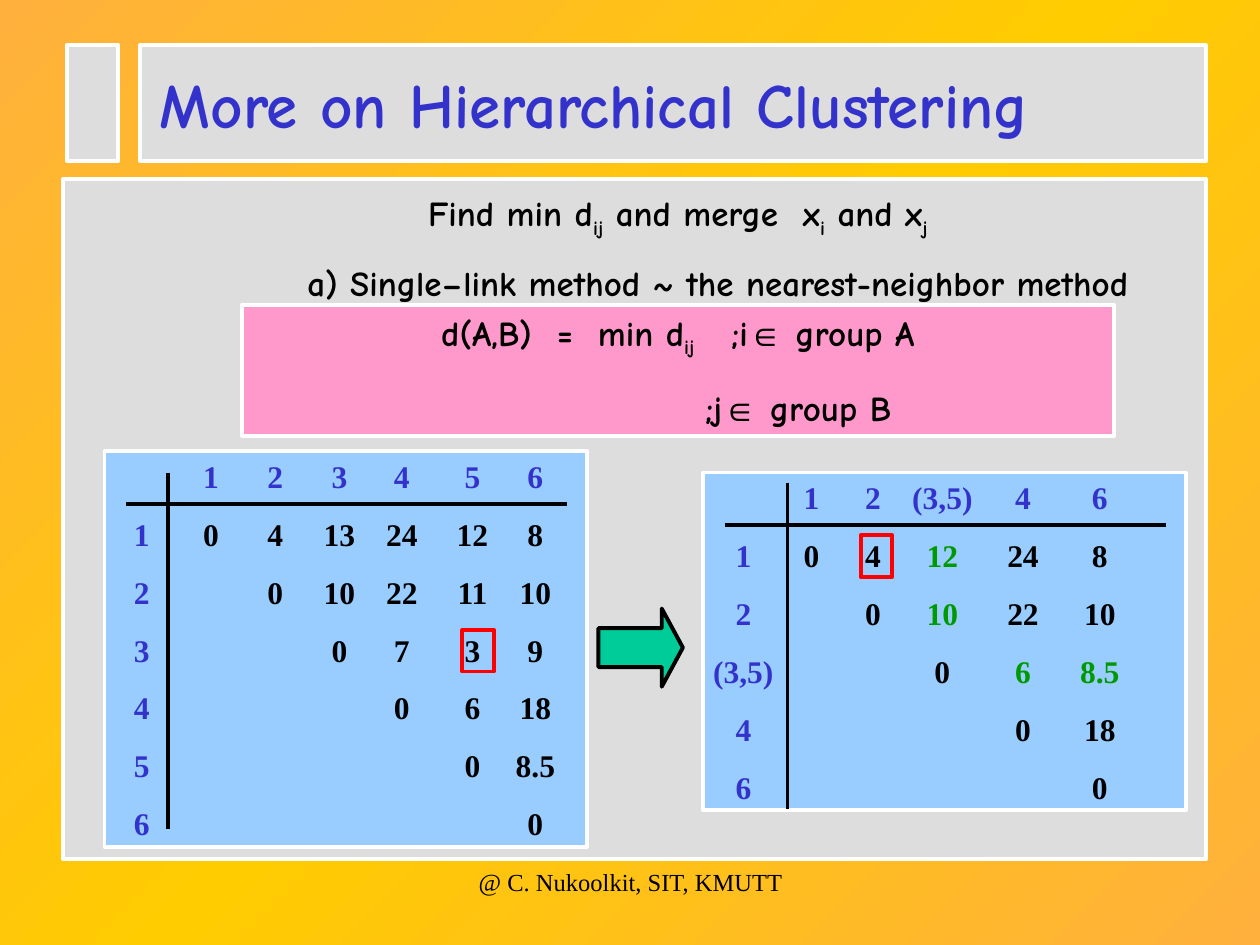
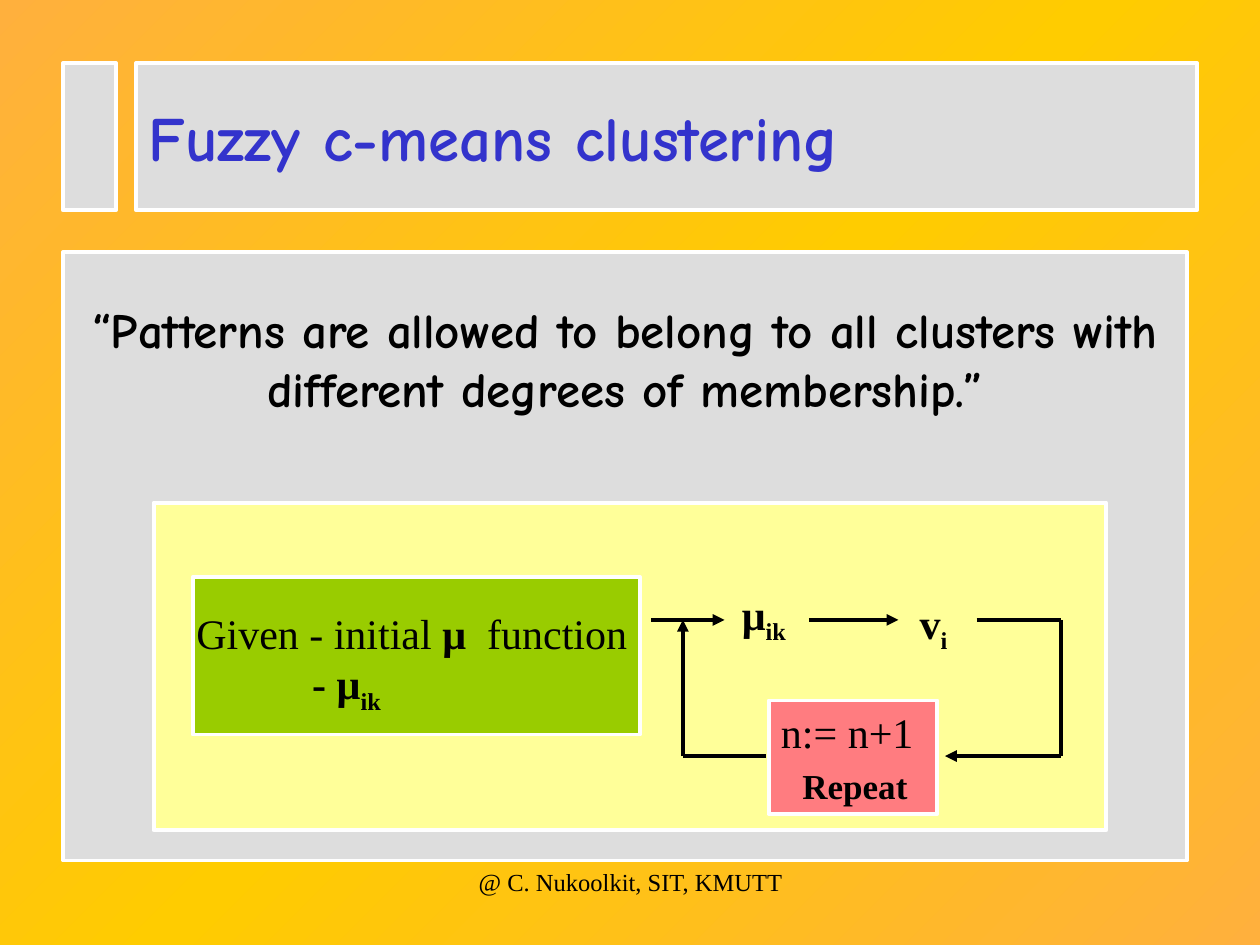
from lxml import etree
from pptx import Presentation
from pptx.dml.color import RGBColor
from pptx.enum.dml import MSO_LINE
from pptx.enum.shapes import MSO_CONNECTOR, MSO_SHAPE
from pptx.enum.text import MSO_ANCHOR, MSO_AUTO_SIZE, PP_ALIGN
from pptx.oxml.ns import qn
from pptx.util import Inches, Pt

RECTANGLE, ARROW = MSO_SHAPE.RECTANGLE, MSO_SHAPE.RIGHT_ARROW
STRAIGHT, SOLID = MSO_CONNECTOR.STRAIGHT, MSO_LINE.SOLID
LEFT, CENTER = PP_ALIGN.LEFT, PP_ALIGN.CENTER
TOP, MIDDLE = MSO_ANCHOR.TOP, MSO_ANCHOR.MIDDLE
NO_AUTOFIT = MSO_AUTO_SIZE.NONE

COLORS = {
    "edge": "FFB03D", "glow": "FFCC00", "panel": "DDDDDD", "white": "FFFFFF",
    "black": "000000", "heading": "3333CC", "formula": "FF99CC",
    "matrix": "99CCFF", "updated": "009900", "minimum": "FF0000",
    "arrow": "00CC99", "loop": "FFFF99", "given": "99CC00", "repeat": "FF7C80",
}
COMIC, SERIF, SYMBOL = "Comic Neue", "Times New Roman", "Arial"
PLAIN_TABLE = "{2D5ABB26-0587-4C30-8999-92F81FD0307C}"
LINE_WIDTH = Pt(2.25)
ROW_HEIGHT = 0.46
SUBSCRIPT = {"subscript": True}
IN_SYMBOL = ("∈", {"font": SYMBOL})
GAP = (" ", {"spacing": 7})
WIDE_GAP = (" ", {"spacing": 14})


def color(name):
    return RGBColor.from_string(COLORS[name])


def add_span(para, text, font=SERIF, size=24, bold=True, fill="black",
             subscript=False, spacing=0):
    span = para.add_run()
    span.text = text
    span.font.name = font
    span.font.size = Pt(size)
    span.font.bold = bold
    span.font.color.rgb = color(fill)
    properties = span._r.get_or_add_rPr()
    if subscript:
        properties.set("baseline", "-25000")
    if spacing:
        properties.set("spc", str(spacing * 100))


def format_para(para, align=LEFT, before=0, indent=0):
    properties = para._p.get_or_add_pPr()
    properties.set("marL", str(Inches(indent)))
    properties.set("indent", "0")
    etree.SubElement(properties, qn("a:buNone"))
    para.alignment = align
    para.space_before = Pt(before)


def write(frame, paragraphs, anchor=TOP, inset=0.1, **span_format):
    frame.word_wrap = True
    frame.auto_size = NO_AUTOFIT
    frame.vertical_anchor = anchor
    frame.margin_left, frame.margin_right = Inches(inset), Inches(0.1)
    frame.margin_top = frame.margin_bottom = Inches(0.05)
    for index, (spans, para_format) in enumerate(paragraphs):
        para = frame.add_paragraph() if index else frame.paragraphs[0]
        format_para(para, **para_format)
        for text, changes in spans:
            add_span(para, text, **{**span_format, **changes})


def place(shape, box):
    shape.left, shape.top, shape.width, shape.height = map(Inches, box)


def paint(shape, fill=None, line="white"):
    if fill:
        shape.fill.solid()
        shape.fill.fore_color.rgb = color(fill)
    else:
        shape.fill.background()
    shape.line.color.rgb = color(line)
    shape.line.width = LINE_WIDTH


def add_block(page, box, fill=None, line="white", kind=RECTANGLE):
    block = page.shapes.add_shape(kind, *map(Inches, box))
    block.shadow.inherit = False
    paint(block, fill, line)
    return block


def add_text(page, box, paragraphs, **span_format):
    text_box = page.shapes.add_textbox(*map(Inches, box))
    write(text_box.text_frame, paragraphs, **span_format)


def add_line(page, start, end, arrow=False):
    line = page.shapes.add_connector(STRAIGHT, *map(Inches, start + end))
    line.line.color.rgb = color("black")
    line.line.width = LINE_WIDTH
    line.line.dash_style = SOLID
    properties = line._element.spPr
    if arrow:
        etree.SubElement(properties.find(qn("a:ln")), qn("a:tailEnd"), type="triangle")
    etree.SubElement(properties, qn("a:effectLst"))


def set_background(deck):
    master = deck.slide_master
    fill = master.background.fill
    fill.gradient()
    fill.gradient_angle = 135
    stops = master.element.find(".//" + qn("a:gsLst"))
    for stop in list(stops):
        stops.remove(stop)
    for position, name in ((0, "edge"), (50000, "glow"), (100000, "edge")):
        stop = etree.SubElement(stops, qn("a:gs"), pos=str(position))
        etree.SubElement(stop, qn("a:srgbClr"), val=COLORS[name])


def add_page(deck, title, title_box, marker_box, panel_box, title_inset=0.1):
    page = deck.slides.add_slide(deck.slide_layouts[1])
    add_block(page, panel_box, "panel")
    add_block(page, marker_box, "panel")
    heading = page.shapes.title
    place(heading, title_box)
    paint(heading, "panel")
    write(heading.text_frame, [([(title, {})], {})], anchor=MIDDLE,
          inset=title_inset, font=COMIC, size=36, fill="heading")
    add_text(page, (3.42, 6.83, 3.17, 0.5),
             [([("@ C. Nukoolkit, SIT, KMUTT", {})], {"align": CENTER})],
             size=14, bold=False)
    return page


def fill_body(page, box, paragraphs, **span_format):
    body = page.placeholders[1]
    place(body, box)
    write(body.text_frame, paragraphs, **span_format)
    tree = body.element.getparent()
    tree.append(body.element)


def add_formula(page, box):
    block = add_block(page, box, "formula")
    group_a = [("d(A,B)", {}), GAP, ("=", {}), GAP, ("min d", {}), ("ij", SUBSCRIPT),
               WIDE_GAP, (";i", {}), IN_SYMBOL, (" group A", {})]
    group_b = [(";j", {}), IN_SYMBOL, (" group B", {})]
    write(block.text_frame,
          [(group_a, {"align": CENTER}), (group_b, {"indent": 3.58, "before": 16})],
          font=COMIC, size=20)


def add_matrix(page, box, labels, rows, widths, axis, minimum, merged=None):
    left, top, width, height = box
    add_block(page, box, "matrix")
    count = len(labels) + 1
    frame = page.shapes.add_table(count, count, Inches(left), Inches(top - 0.02),
                                  Inches(sum(widths)), Inches(ROW_HEIGHT * count))
    table = frame.table
    table.first_row = table.horz_banding = False
    table._tbl.tblPr.find(qn("a:tableStyleId")).text = PLAIN_TABLE
    for column, column_width in zip(table.columns, widths):
        column.width = Inches(column_width)
    for row in table.rows:
        row.height = Inches(ROW_HEIGHT)

    grid = [[""] + labels]
    for index, (label, values) in enumerate(zip(labels, rows)):
        grid.append([label] + [""] * index + values)
    for row, texts in enumerate(grid):
        for column, text in enumerate(texts):
            cell = table.cell(row, column)
            cell.fill.background()
            cell.vertical_anchor = MIDDLE
            cell.margin_left = cell.margin_right = 0
            cell.margin_top = cell.margin_bottom = 0
            para = cell.text_frame.paragraphs[0]
            para.alignment = CENTER
            para.font.size = Pt(18)
            if not text:
                continue
            fill = "black"
            if row == 0 or column == 0:
                fill = "heading"
            elif row != column and merged in (grid[row][0], grid[0][column]):
                fill = "updated"
            add_span(para, text, size=18, fill=fill)

    axis_x, axis_start, axis_end = axis
    add_line(page, (left + axis_x, top + axis_start), (left + axis_x, top + axis_end))
    add_line(page, (left + 0.17, top + 0.42), (left + 3.67, top + 0.42))
    add_block(page, (left + minimum[0], top + minimum[1], 0.25, 0.33), line="minimum")


def build_hierarchical(deck):
    page = add_page(deck, "More on Hierarchical Clustering",
                    (1.11, 0.36, 8.46, 0.92), (0.53, 0.36, 0.41, 0.92),
                    (0.5, 1.42, 9.07, 5.4), title_inset=0.16)
    add_formula(page, (1.92, 2.42, 6.92, 1.04))
    merge = [("Find min d", {}), ("ij", SUBSCRIPT), (" and merge", {}), GAP, ("x", {}),
             ("i", SUBSCRIPT), (" and x", {}), ("j", SUBSCRIPT)]
    method = [("a) Single–link method ~ the nearest-neighbor method", {})]
    fill_body(page, (0.75, 1.47, 8.92, 1.04),
              [(merge, {"align": CENTER, "indent": 0.34}),
               (method, {"align": CENTER, "indent": 0.98, "before": 12.5})],
              font=COMIC, size=20)
    add_matrix(page, (0.83, 3.58, 3.83, 3.14),
               ["1", "2", "3", "4", "5", "6"],
               [["0", "4", "13", "24", "12", "8"], ["0", "10", "22", "11", "10"],
                ["0", "7", "3", "9"], ["0", "6", "18"], ["0", "8.5"], ["0"]],
               widths=[0.59, 0.51, 0.51, 0.51, 0.48, 0.64, 0.36],
               axis=(0.5, 0.17, 3), minimum=(2.84, 1.42))
    add_matrix(page, (5.58, 3.75, 3.83, 2.68),
               ["1", "2", "(3,5)", "4", "6"],
               [["0", "4", "12", "24", "8"], ["0", "10", "22", "10"],
                ["0", "6", "8.5"], ["0", "18"], ["0"]],
               widths=[0.64, 0.44, 0.54, 0.56, 0.72, 0.5],
               axis=(0.67, 0.08, 2.67), minimum=(1.25, 0.5), merged="(3,5)")
    arrow = add_block(page, (4.75, 4.83, 0.67, 0.62), "arrow", "black", ARROW)
    arrow.adjustments[0], arrow.adjustments[1] = 0.5, 0.27


def add_loop(page, box):
    left, top = box[:2]

    def at(x, y, *size):
        return (left + x, top + y, *size)

    add_block(page, box, "loop")
    add_block(page, at(0.31, 0.59, 3.55, 1.25), "given")
    given = [("Given - initial ", {}), ("μ", {"bold": True}),
             (" ", {"spacing": 6}), ("function", {})]
    start = [("- μ", {"bold": True}), ("ik", {"bold": True, **SUBSCRIPT})]
    add_text(page, at(0.24, 0.78, 3.8, 0.96),
             [(given, {}), (start, {"indent": 0.92})], bold=False)
    for symbol, index, x, y in (("μ", "ik", 4.57, 0.63), ("v", "i", 5.98, 0.7)):
        add_text(page, at(x, y, 0.63, 0.56),
                 [([(symbol, {}), (index, SUBSCRIPT)], {})])
    repeat = add_block(page, at(4.88, 1.57, 1.34, 0.9), "repeat")
    write(repeat.text_frame,
          [([("n:= n+1", {"bold": False})], {}),
           ([("Repeat", {"size": 20})], {"indent": 0.17, "before": 4})])

    upper, lower, inner, outer = 0.93, 2.01, 4.2, 7.2
    for begin, end, arrow in (
        ((3.95, upper), (4.53, upper), True),
        ((5.2, upper), (5.91, upper), True),
        ((6.53, upper), (outer, upper), False),
        ((outer, upper), (outer, lower), False),
        ((outer, lower), (6.28, lower), True),
        ((4.86, lower), (inner, lower), False),
        ((inner, lower), (inner, upper), True),
    ):
        add_line(page, at(*begin), at(*end), arrow)


def build_fuzzy(deck):
    page = add_page(deck, "Fuzzy c-means clustering",
                    (1.08, 0.5, 8.42, 1.17), (0.5, 0.5, 0.42, 1.17),
                    (0.5, 2, 8.92, 4.83))
    quote = ("“Patterns are allowed to belong to all clusters with "
             "different degrees of membership.”")
    fill_body(page, (0.51, 2.33, 8.9, 1.04), [([(quote, {})], {"align": CENTER})],
              font=COMIC, size=28)
    add_loop(page, (1.22, 3.99, 7.56, 2.6))


def main():
    deck = Presentation()
    deck.slide_width, deck.slide_height = Inches(10), Inches(7.5)
    set_background(deck)
    build_hierarchical(deck)
    build_fuzzy(deck)
    deck.save("out.pptx")


if __name__ == "__main__":
    main()
